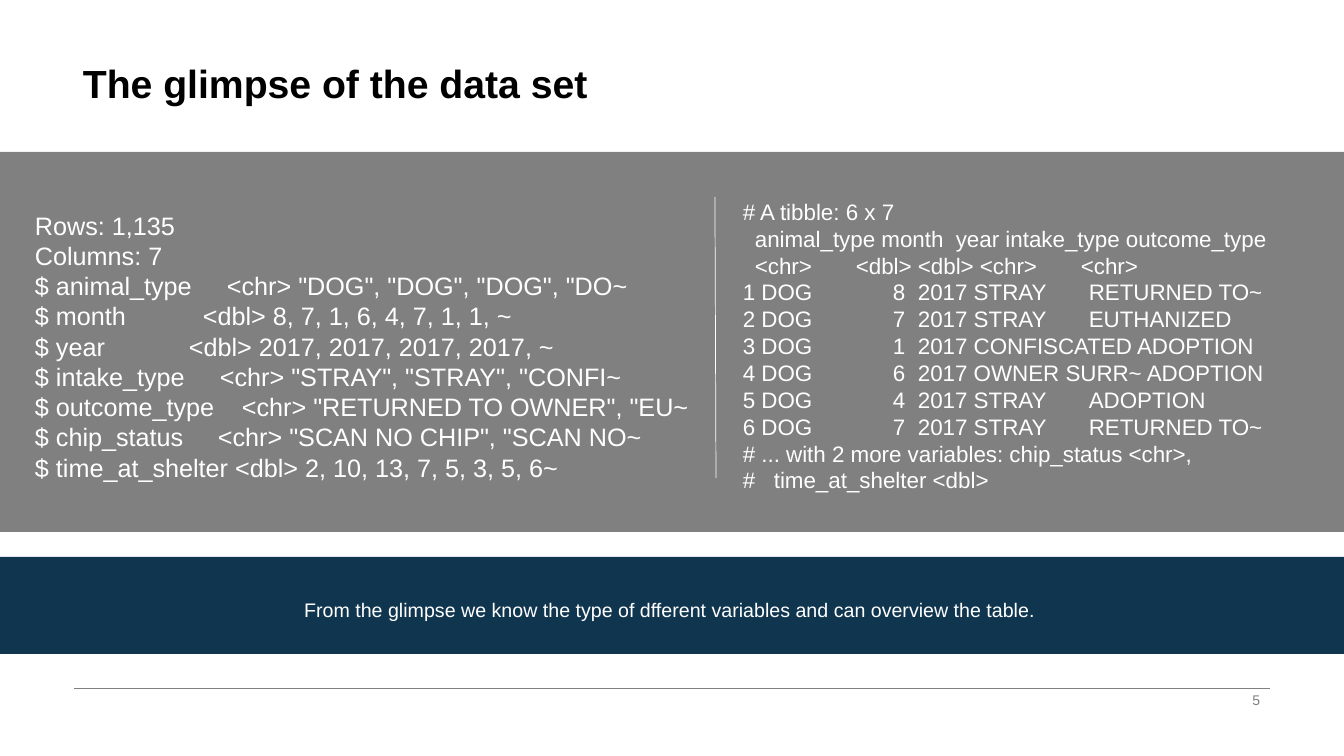
from lxml import etree
from pptx import Presentation
from pptx.dml.color import RGBColor
from pptx.enum.shapes import MSO_CONNECTOR, MSO_SHAPE
from pptx.enum.text import MSO_ANCHOR, PP_ALIGN
from pptx.oxml.ns import qn
from pptx.util import Pt

LEFT, RIGHT, CENTER = PP_ALIGN.LEFT, PP_ALIGN.RIGHT, PP_ALIGN.CENTER
TOP, MIDDLE, BOTTOM = MSO_ANCHOR.TOP, MSO_ANCHOR.MIDDLE, MSO_ANCHOR.BOTTOM
RECTANGLE, STRAIGHT = MSO_SHAPE.RECTANGLE, MSO_CONNECTOR.STRAIGHT

COLORS = {"black": "000000", "white": "FFFFFF", "gray": "808080", "navy": "10354F"}
FONT = "Arial"
EMU_PER_PX = 914400 / 100.8
WIDTH, HEIGHT = 1344, 756

# Each line is its text and its tab stops in px
GLIMPSE = [
    ("Rows: 1,135", []),
    ("Columns: 7", []),
    ('$ animal_type\t<chr> "DOG", "DOG", "DOG", "DO~', [192]),
    ("$ month\t<dbl> 8, 7, 1, 6, 4, 7, 1, 1, ~", [168]),
    ("$ year\t<dbl> 2017, 2017, 2017, 2017, ~", [154]),
    ('$ intake_type\t<chr> "STRAY", "STRAY", "CONFI~', [185]),
    ('$ outcome_type\t<chr> "RETURNED TO OWNER", "EU~', [207]),
    ('$ chip_status\t<chr> "SCAN NO CHIP", "SCAN NO~', [183]),
    ("$ time_at_shelter <dbl> 2, 10, 13, 7, 5, 3, 5, 6~", []),
]
ANIMALS = [
    (8, "STRAY\tRETURNED TO~"),
    (7, "STRAY\tEUTHANIZED"),
    (1, "CONFISCATED ADOPTION"),
    (6, "OWNER SURR~ ADOPTION"),
    (4, "STRAY\tADOPTION"),
    (7, "STRAY\tRETURNED TO~"),
]
TIBBLE = [
    ("# A tibble: 6 x 7", []),
    ("\tanimal_type month\tyear intake_type outcome_type", [12, 213]),
    ("\t<chr>\t<dbl> <dbl> <chr>\t<chr>", [12, 113, 338]),
    *((f"{number} DOG\t{month}\t2017 {outcome}", [150, 175, 346])
      for number, (month, outcome) in enumerate(ANIMALS, 1)),
    ("# ... with 2 more variables: chip_status <chr>,", []),
    ("#\ttime_at_shelter <dbl>", [31]),
]


def px(length):
    return round(length * EMU_PER_PX)


def color(name):
    return RGBColor.from_string(COLORS[name])


class SlideBuilder:
    def __init__(self, slide):
        self.slide = slide

    def band(self, top, height, fill):
        shape = self.slide.shapes.add_shape(RECTANGLE, 0, px(top), px(WIDTH), px(height))
        shape.shadow.inherit = False
        shape.fill.solid()
        shape.fill.fore_color.rgb = color(fill)
        shape.line.fill.background()

    def line(self, x1, y1, x2, y2, stroke):
        connector = self.slide.shapes.add_connector(STRAIGHT, px(x1), px(y1), px(x2), px(y2))
        connector.line.color.rgb = color(stroke)
        connector.line.width = Pt(0.5)
        etree.SubElement(connector._element.spPr, qn("a:effectLst"))

    def text(self, box, lines, size, fill, bold=False, align=LEFT, anchor=TOP, spacing=1.0):
        frame = self.slide.shapes.add_textbox(*map(px, box)).text_frame
        frame.word_wrap = True
        frame.vertical_anchor = anchor
        for index, (content, stops) in enumerate(lines):
            paragraph = frame.add_paragraph() if index else frame.paragraphs[0]
            paragraph.alignment = align
            paragraph.line_spacing = spacing
            self.tab_stops(paragraph, stops)
            paragraph.text = content
            paragraph.font.name = FONT
            paragraph.font.size = Pt(size)
            paragraph.font.bold = bold
            paragraph.font.color.rgb = color(fill)

    def tab_stops(self, paragraph, stops):
        if stops:
            tabs = etree.SubElement(paragraph._p.get_or_add_pPr(), qn("a:tabLst"))
            for stop in stops:
                etree.SubElement(tabs, qn("a:tab"), pos=str(px(stop)), algn="l")


def main():
    presentation = Presentation()
    presentation.slide_width, presentation.slide_height = px(WIDTH), px(HEIGHT)
    builder = SlideBuilder(presentation.slides.add_slide(presentation.slide_layouts[6]))

    # Title
    builder.text((73, 0, 1196, 112), [("The glimpse of the data set", [])], 28, "black",
                 bold=True, anchor=BOTTOM, spacing=0.9)

    # Data listings on the gray band
    builder.band(152, 380, "gray")
    builder.text((25, 205, 680, 285), GLIMPSE, 18, "white")
    builder.line(715, 197, 716, 478, "white")
    builder.text((733, 193, 567, 308), TIBBLE, 16, "white")

    # Takeaway
    takeaway = "From the glimpse we know the type of dfferent variables and can overview the table."
    builder.band(557, 97, "navy")
    builder.text((293, 575, 754, 65), [(takeaway, [])], 14, "white",
                 align=CENTER, anchor=MIDDLE, spacing=1.2)

    # Footer
    builder.line(74, 688, 1270, 688, "gray")
    builder.text((950, 688, 320, 23), [("5", [])], 10, "gray", align=RIGHT, anchor=MIDDLE)

    presentation.save("out.pptx")


if __name__ == "__main__":
    main()
